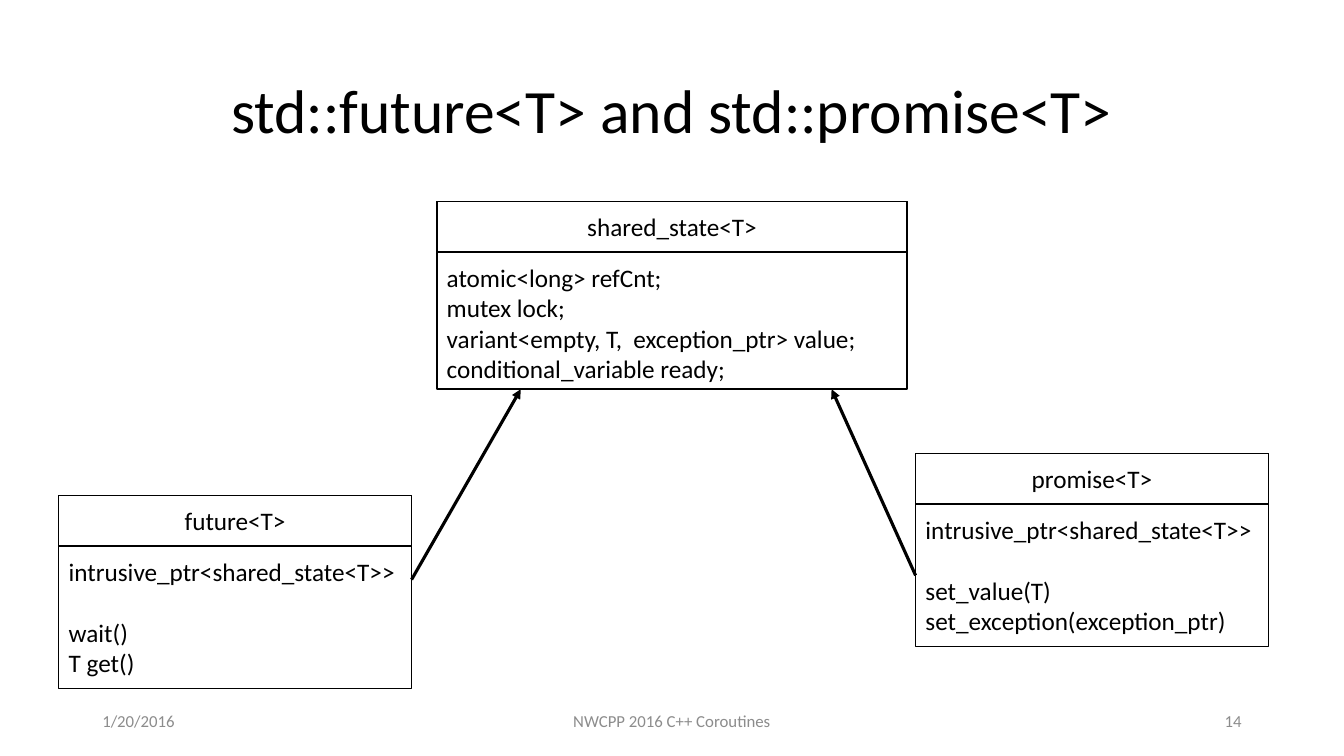
from lxml.etree import SubElement
from pptx import Presentation
from pptx.dml.color import RGBColor
from pptx.enum.shapes import MSO_CONNECTOR, MSO_SHAPE
from pptx.enum.text import MSO_ANCHOR, PP_ALIGN
from pptx.oxml.ns import qn
from pptx.util import Pt

COLORS = {"ink": "000000", "paper": "FFFFFF", "footer": "8C8C8C"}
FONT = "Calibri"
HEADER_HEIGHT = 36
MEMBERS_OFFSET = 40
MEMBERS_HEIGHT = 94
GROUP_GAP = 22


def color(name):
    return RGBColor.from_string(COLORS[name])


def write_lines(frame, lines, size, ink="ink", align=PP_ALIGN.LEFT, anchor=MSO_ANCHOR.MIDDLE):
    frame.word_wrap = True
    frame.vertical_anchor = anchor
    frame.text = "\n".join(lines)
    for para in frame.paragraphs:
        para.alignment = align
        for span in para.runs:
            span.font.name = FONT
            span.font.size = Pt(size)
            span.font.color.rgb = color(ink)


def add_text(page, bounds, lines, size, **style):
    box = page.shapes.add_textbox(*map(Pt, bounds))
    write_lines(box.text_frame, lines, size, **style)
    return box.text_frame.paragraphs


def add_rectangle(page, bounds):
    box = page.shapes.add_shape(MSO_SHAPE.RECTANGLE, *map(Pt, bounds))
    box.shadow.inherit = False
    box.fill.solid()
    box.fill.fore_color.rgb = color("paper")
    box.line.color.rgb = color("ink")
    box.line.width = Pt(1)
    return box


def add_class(page, bounds, members_width, name, groups):
    left, top, width, height = bounds
    add_rectangle(page, bounds)
    header = add_rectangle(page, (left, top, width, HEADER_HEIGHT))
    write_lines(header.text_frame, [name], 18, align=PP_ALIGN.CENTER)
    members = [member for group in groups for member in group]
    paras = add_text(page, (left, top + MEMBERS_OFFSET, members_width, MEMBERS_HEIGHT),
                     members, 18, anchor=MSO_ANCHOR.TOP)
    for group in groups[1:]:
        paras[members.index(group[0])].space_before = Pt(GROUP_GAP)


def add_arrow(page, start, end):
    arrow = page.shapes.add_connector(MSO_CONNECTOR.STRAIGHT, *map(Pt, start + end))
    arrow.line.color.rgb = color("ink")
    arrow.line.width = Pt(2.25)
    SubElement(arrow.line._get_or_add_ln(), qn("a:tailEnd"), type="triangle")
    SubElement(arrow._element.spPr, qn("a:effectLst"))


def main():
    deck = Presentation()
    deck.slide_width, deck.slide_height = Pt(960), Pt(540)
    page = deck.slides.add_slide(deck.slide_layouts[6])

    title = add_text(page, (66, 29, 828, 104), ["std::future<T> and std::promise<T>"],
                     44, align=PP_ALIGN.CENTER)
    title[0].line_spacing = 0.9

    pointer = ["intrusive_ptr<shared_state<T>>"]
    add_class(page, (312, 144, 336, 134), 336, "shared_state<T>", [[
        "atomic<long> refCnt;",
        "mutex lock;",
        "variant<empty, T,  exception_ptr> value;",
        "conditional_variable ready;",
    ]])
    add_class(page, (42, 354, 252, 138), 258, "future<T>",
              [pointer, ["wait()", "T get()"]])
    add_class(page, (654, 324, 252, 138), 258, "promise<T>",
              [pointer, ["set_value(T)", "set_exception(exception_ptr)"]])

    add_arrow(page, (294, 414), (372, 278))
    add_arrow(page, (654, 411), (594, 278))

    for left, width, text, align in (
        (66, 216, "1/20/2016", PP_ALIGN.LEFT),
        (318, 324, "NWCPP 2016 C++ Coroutines", PP_ALIGN.CENTER),
        (678, 216, "14", PP_ALIGN.RIGHT),
    ):
        add_text(page, (left, 500.5, width, 29), [text], 12, ink="footer", align=align)

    deck.save("out.pptx")


if __name__ == "__main__":
    main()
